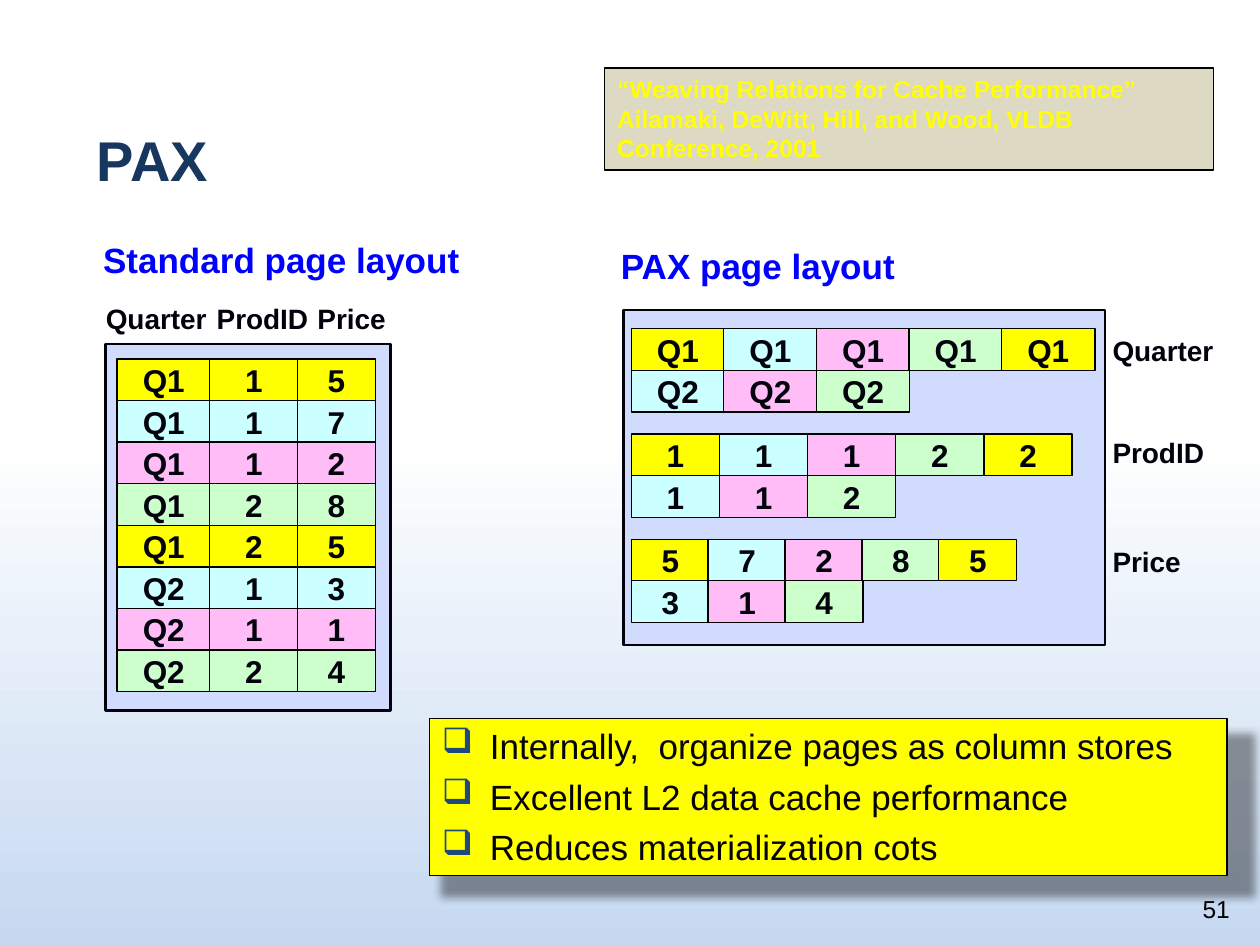
from lxml import etree
from pptx import Presentation
from pptx.dml.color import RGBColor
from pptx.enum import shapes as kinds, text as t
from pptx.oxml import ns
from pptx.util import Inches, Pt

WHITE = RGBColor(0xFF, 0xFF, 0xFF)
BLACK = RGBColor(0x00, 0x00, 0x00)
SKY = RGBColor(0xC6, 0xD9, 0xF1)
NAVY = RGBColor(0x17, 0x37, 0x5E)
BLUE = RGBColor(0x00, 0x00, 0xFF)
INK = RGBColor(0x01, 0x02, 0x0B)
BODY_INK = RGBColor(0x04, 0x04, 0x08)
PAGE_FILL = RGBColor(0xD0, 0xDB, 0xFD)
TAN = RGBColor(0xDD, 0xD9, 0xC3)
YELLOW = RGBColor(0xFF, 0xFF, 0x00)
CYAN = RGBColor(0xCC, 0xFF, 0xFF)
PINK = RGBColor(0xFF, 0xBC, 0xF7)
GREEN = RGBColor(0xCC, 0xFF, 0xCC)
RECORD_FILLS = [YELLOW, CYAN, PINK, GREEN, YELLOW, CYAN, PINK, GREEN]

ROW = 0.33
# Each column: name, cell width, step between cells in the PAX page, values
COLUMNS = [
    ("Quarter", 0.74, 0.735, ["Q1"] * 5 + ["Q2"] * 3),
    ("ProdID", 0.7, 0.7, ["1", "1", "1", "2", "2", "1", "1", "2"]),
    ("Price", 0.62, 0.61, ["5", "7", "2", "8", "5", "3", "1", "4"]),
]


def add_box(parent, box, fill, line=BLACK, weight=0.75):
    rect = parent.add_shape(kinds.MSO_SHAPE.RECTANGLE, *map(Inches, box))
    rect.shadow.inherit = False
    rect.fill.solid()
    rect.fill.fore_color.rgb = fill
    rect.line.color.rgb = line
    rect.line.width = Pt(weight)
    return rect


def set_text(holder, lines, size, color, bold=True, align=t.PP_ALIGN.LEFT,
             anchor=t.MSO_ANCHOR.TOP, wrap=True, inset=None):
    frame = holder.text_frame
    frame.text = "\n".join(lines)
    frame.word_wrap = wrap
    frame.vertical_anchor = anchor
    if inset is not None:
        frame.margin_left = frame.margin_right = Inches(inset)
        frame.margin_top = frame.margin_bottom = Inches(inset)
    for paragraph in frame.paragraphs:
        paragraph.alignment = align
        paragraph.font.name = "Arial"
        paragraph.font.size = Pt(size)
        paragraph.font.bold = bold
        paragraph.font.color.rgb = color


deck = Presentation()
deck.slide_width, deck.slide_height = Inches(10), Inches(7.5)
slide = deck.slides.add_slide(deck.slide_layouts[6])

backdrop = slide.background.fill
backdrop.gradient()
backdrop.gradient_angle = 270
for stop, position, color in zip(backdrop.gradient_stops, (0.46, 1), (WHITE, SKY)):
    stop.position = position
    stop.color.rgb = color

title = slide.shapes.add_textbox(*map(Inches, (0.67, 0.33, 8.5, 1.25)))
set_text(title, ["PAX"], 32, NAVY, anchor=t.MSO_ANCHOR.BOTTOM)

# Takeaways with a soft shadow and square bullets
takeaways = add_box(slide.shapes, (3.41, 5.7, 6.33, 1.25), YELLOW)
set_text(takeaways, ["Internally,  organize pages as column stores",
                     "Excellent L2 data cache performance",
                     "Reduces materialization cots"], 20, BODY_INK, bold=False)
for paragraph in takeaways.text_frame.paragraphs:
    paragraph.space_before = Pt(5)
    properties = paragraph._p.get_or_add_pPr()
    properties.set("marL", str(Inches(0.38)))
    properties.set("indent", str(-Inches(0.38)))
    bullet_color = etree.SubElement(properties, ns.qn("a:buClr"))
    etree.SubElement(bullet_color, ns.qn("a:srgbClr"), val="1F497D")
    etree.SubElement(properties, ns.qn("a:buSzPct"), val="100000")
    etree.SubElement(properties, ns.qn("a:buChar"), char="❑")
    # The schema wants the default run properties after the bullet
    properties.append(properties.find(ns.qn("a:defRPr"))) 

effects = takeaways._element.spPr.find(ns.qn("a:effectLst"))
shadow = etree.SubElement(effects, ns.qn("a:outerShdw"), blurRad=str(Pt(5)),
                          dist=str(Inches(0.2)), dir="2700000", sx="102000",
                          sy="102000", algn="ctr", rotWithShape="0")
shadow_color = etree.SubElement(shadow, ns.qn("a:srgbClr"), val="000000")
etree.SubElement(shadow_color, ns.qn("a:alpha"), val="40000")

for heading, left, top in [("Standard page layout", 0.72, 1.76),
                           ("PAX page layout", 4.83, 1.81)]:
    caption = slide.shapes.add_textbox(*map(Inches, (left, top, 3.13, 0.6)))
    set_text(caption, [heading], 20, BLUE, anchor=t.MSO_ANCHOR.MIDDLE)

# Standard page: records stacked as rows; PAX page: one mini page per column
standard = slide.shapes.add_group_shape().shapes
pax = slide.shapes.add_group_shape().shapes
add_box(standard, (0.84, 2.73, 2.26, 2.91), PAGE_FILL, INK, 1.5)
add_box(pax, (4.95, 2.46, 3.82, 2.66), PAGE_FILL, INK, 1.5)

column_left = 0.93
standard_label_lefts = [0.84, 1.72, 2.52]
pax_label_tops = [2.65, 3.46, 4.32]
for index, (name, width, step, values) in enumerate(COLUMNS):
    mini_page_top = 2.61 + 0.835 * index
    for record, (value, fill) in enumerate(zip(values, RECORD_FILLS)):
        line, place = divmod(record, 5)
        for page, left, top in [
            (standard, column_left, 2.85 + ROW * record),
            (pax, 5.01 + step * place, mini_page_top + ROW * line),
        ]:
            cell = add_box(page, (left, top, width, ROW), fill)
            set_text(cell, [value], 18, INK, align=t.PP_ALIGN.CENTER,
                     anchor=t.MSO_ANCHOR.MIDDLE, wrap=False)
    for page, left, top in [(standard, standard_label_lefts[index], 2.39),
                            (pax, 8.83, pax_label_tops[index])]:
        label = page.add_textbox(*map(Inches, (left, top, 0.83, 0.27)))
        set_text(label, [name], 16, INK, wrap=False, inset=0)
    column_left += width - 0.005

citation = add_box(slide.shapes, (4.8, 0.54, 4.83, 0.81), TAN)
set_text(citation, ["“Weaving Relations for Cache Performance” Ailamaki, DeWitt, "
                    "Hill, and Wood, VLDB Conference, 2001"], 14, YELLOW)

page_number = slide.shapes.add_textbox(*map(Inches, (9.1, 6.88, 0.76, 0.5)))
set_text(page_number, ["51"], 14, BLACK, bold=False, align=t.PP_ALIGN.RIGHT,
         anchor=t.MSO_ANCHOR.BOTTOM)

deck.save("out.pptx")
